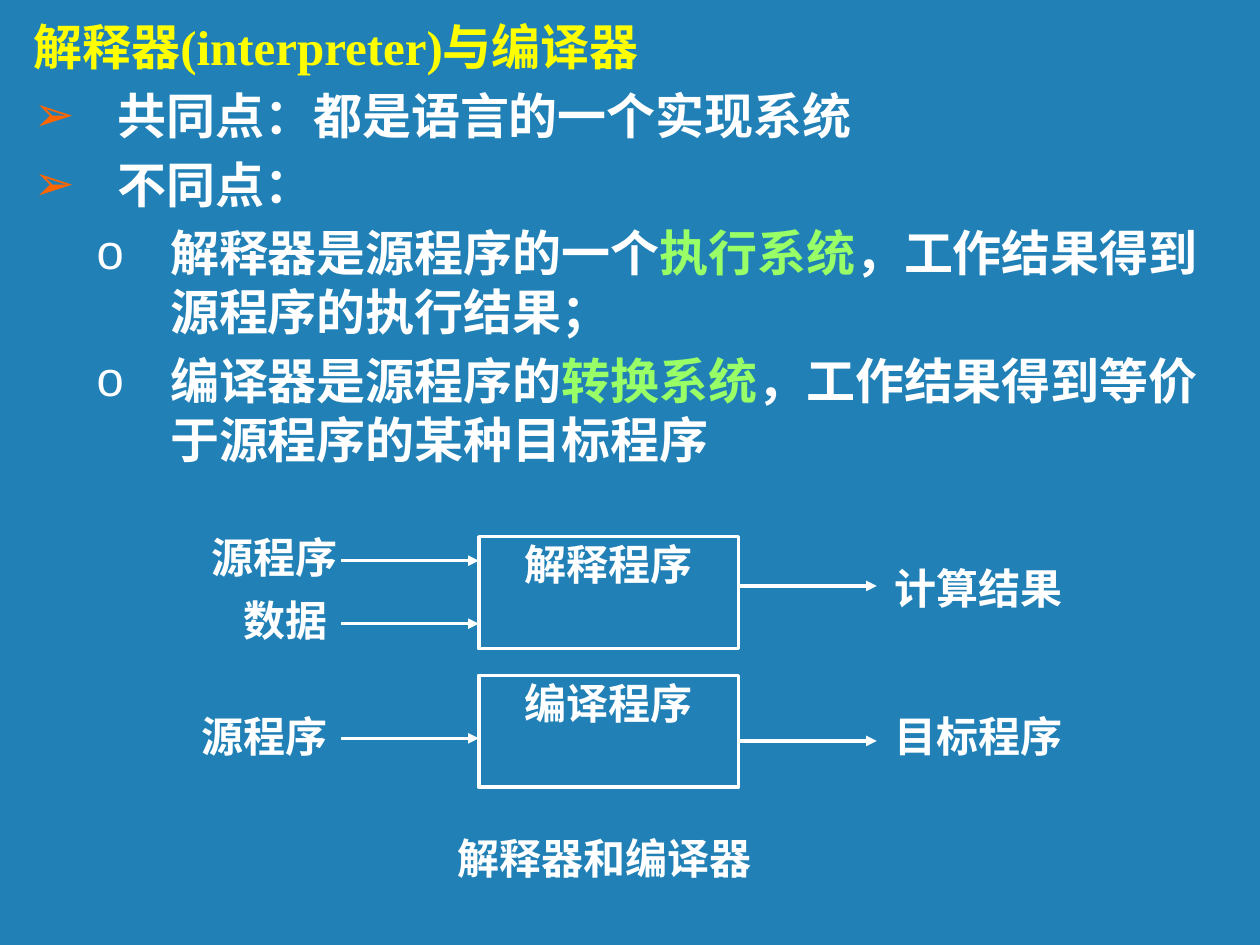
from lxml import etree
from pptx import Presentation
from pptx.dml.color import RGBColor
from pptx.enum.shapes import MSO_CONNECTOR, MSO_SHAPE
from pptx.enum.text import MSO_ANCHOR, MSO_AUTO_SIZE, PP_ALIGN
from pptx.oxml.ns import qn
from pptx.util import Pt

STRAIGHT = MSO_CONNECTOR.STRAIGHT
RECTANGLE = MSO_SHAPE.RECTANGLE
TOP = MSO_ANCHOR.TOP
NO_AUTOFIT = MSO_AUTO_SIZE.NONE
LEFT, CENTER, JUSTIFY = PP_ALIGN.LEFT, PP_ALIGN.CENTER, PP_ALIGN.JUSTIFY

BLUE, WHITE, YELLOW, GREEN, ORANGE = "2181B7", "FFFFFF", "FFFF00", "99FF66", "FF6600"
SANS, SERIF = "Montserrat", "Times New Roman"

# Paragraph styles: level, left margin, hanging indent, bullet, bullet colour
STYLES = {
    "heading": (0, 0, 0, None, None),
    "point": (0, 48, 48, "➢", ORANGE),
    "detail": (1, 78, 42, "o", WHITE),
}
BODY = [
    ("heading", [("解释器", SANS, YELLOW), ("(interpreter)", SERIF, YELLOW),
                 ("与编译器", SANS, YELLOW)]),
    ("point", [("共同点：都是语言的一个实现系统", SANS, WHITE)]),
    ("point", [("不同点：", SANS, WHITE)]),
    ("detail", [("解释器是源程序的一个", SANS, WHITE), ("执行系统", SANS, GREEN),
                ("，工作结果得到源程序的执行结果；", SANS, WHITE)]),
    ("detail", [("编译器是源程序的", SANS, WHITE), ("转换系统", SANS, GREEN),
                ("，工作结果得到等价于源程序的某种目标程序", SANS, WHITE)]),
]

BOX_LEFT, BOX_WIDTH, BOX_HEIGHT = 273.6, 148.4, 64
BOX_RIGHT = BOX_LEFT + BOX_WIDTH
INPUT_START, OUTPUT_END = 195, 501
PROCESSES = [  # name, top, heights of input arrows, height of output arrow
    ("解释程序", 306.7, [320.4, 356.4], 334.8),
    ("编译程序", 385.9, [421.9], 423.4),
]
LABELS = [  # text, left, top, width
    ("源程序", 114, 300, 102),
    ("数据", 132, 336, 66),
    ("源程序", 108, 402.5, 102),
    ("计算结果", 504, 318, 120),
    ("目标程序", 504, 402.5, 120),
]
CAPTION = ("解释器和编译器", 260.6, 474.5, 207.4)
LABEL_HEIGHT = 36


def color(hex_string):
    return RGBColor.from_string(hex_string)


def format_font(font, name, size, hex_string):
    font.name, font.size, font.bold = name, Pt(size), True
    font.color.rgb = color(hex_string)


def set_bullet(paragraph, margin, hanging, character, hex_string):
    properties = paragraph._p.get_or_add_pPr()
    properties.set("marL", str(Pt(margin)))
    properties.set("indent", str(-Pt(hanging)))
    if character is None:
        etree.SubElement(properties, qn("a:buNone"))
        return
    bullet_color = etree.SubElement(properties, qn("a:buClr"))
    etree.SubElement(bullet_color, qn("a:srgbClr"), val=hex_string)
    etree.SubElement(properties, qn("a:buChar"), char=character)


def fill_body(placeholder):
    placeholder.left, placeholder.top = Pt(12), Pt(6)
    placeholder.width, placeholder.height = Pt(690), Pt(276)
    frame = placeholder.text_frame
    frame.auto_size, frame.vertical_anchor = NO_AUTOFIT, TOP
    for index, (style, runs) in enumerate(BODY):
        paragraph = frame.add_paragraph() if index else frame.paragraphs[0]
        level, *bullet = STYLES[style]
        set_bullet(paragraph, *bullet)
        paragraph.level = level
        paragraph.space_before = Pt(5.6 if index else 0)
        for text, font_name, hex_string in runs:
            run = paragraph.add_run()
            run.text = text
            format_font(run.font, font_name, 28, hex_string)


def set_diagram_text(shape, text, alignment, inset=None):
    frame = shape.text_frame
    frame.text = text
    frame.word_wrap, frame.vertical_anchor = True, TOP
    if inset is not None:
        frame.margin_left = frame.margin_right = Pt(inset)
        frame.margin_top = frame.margin_bottom = Pt(inset)
    paragraph = frame.paragraphs[0]
    paragraph.alignment = alignment
    format_font(paragraph.runs[0].font, SERIF, 24, WHITE)


def add_label(shapes, text, left, top, width, alignment=LEFT, inset=None):
    label = shapes.add_textbox(Pt(left), Pt(top), Pt(width), Pt(LABEL_HEIGHT))
    set_diagram_text(label, text, alignment, inset)


def add_arrow(shapes, start, end, y):
    arrow = shapes.add_connector(STRAIGHT, Pt(start), Pt(y), Pt(end), Pt(y))
    arrow.line.color.rgb = color(WHITE)
    arrow.line.width = Pt(2)
    etree.SubElement(arrow.line._get_or_add_ln(), qn("a:tailEnd"), type="triangle")
    etree.SubElement(arrow._element.spPr, qn("a:effectLst"))


def add_process(shapes, name, top, input_heights, output_height):
    box = shapes.add_shape(RECTANGLE, Pt(BOX_LEFT), Pt(top), Pt(BOX_WIDTH), Pt(BOX_HEIGHT))
    box.shadow.inherit = False
    box.fill.background()
    box.line.color.rgb = color(WHITE)
    box.line.width = Pt(2)
    set_diagram_text(box, name, CENTER, inset=1)
    for y in input_heights:
        add_arrow(shapes, INPUT_START, BOX_LEFT, y)
    add_arrow(shapes, BOX_RIGHT, OUTPUT_END, output_height)


def main():
    presentation = Presentation()
    presentation.slide_width, presentation.slide_height = Pt(720), Pt(540)
    slide = presentation.slides.add_slide(presentation.slide_layouts[1])
    slide.background.fill.solid()
    slide.background.fill.fore_color.rgb = color(BLUE)

    # The heading is the first line of the body, so the title goes unused.
    title = slide.shapes.title._element
    title.getparent().remove(title)
    fill_body(slide.placeholders[1])

    for process in PROCESSES:
        add_process(slide.shapes, *process)
    for label in LABELS:
        add_label(slide.shapes, *label)
    add_label(slide.shapes, *CAPTION, alignment=JUSTIFY, inset=1)
    presentation.save("out.pptx")


if __name__ == "__main__":
    main()
